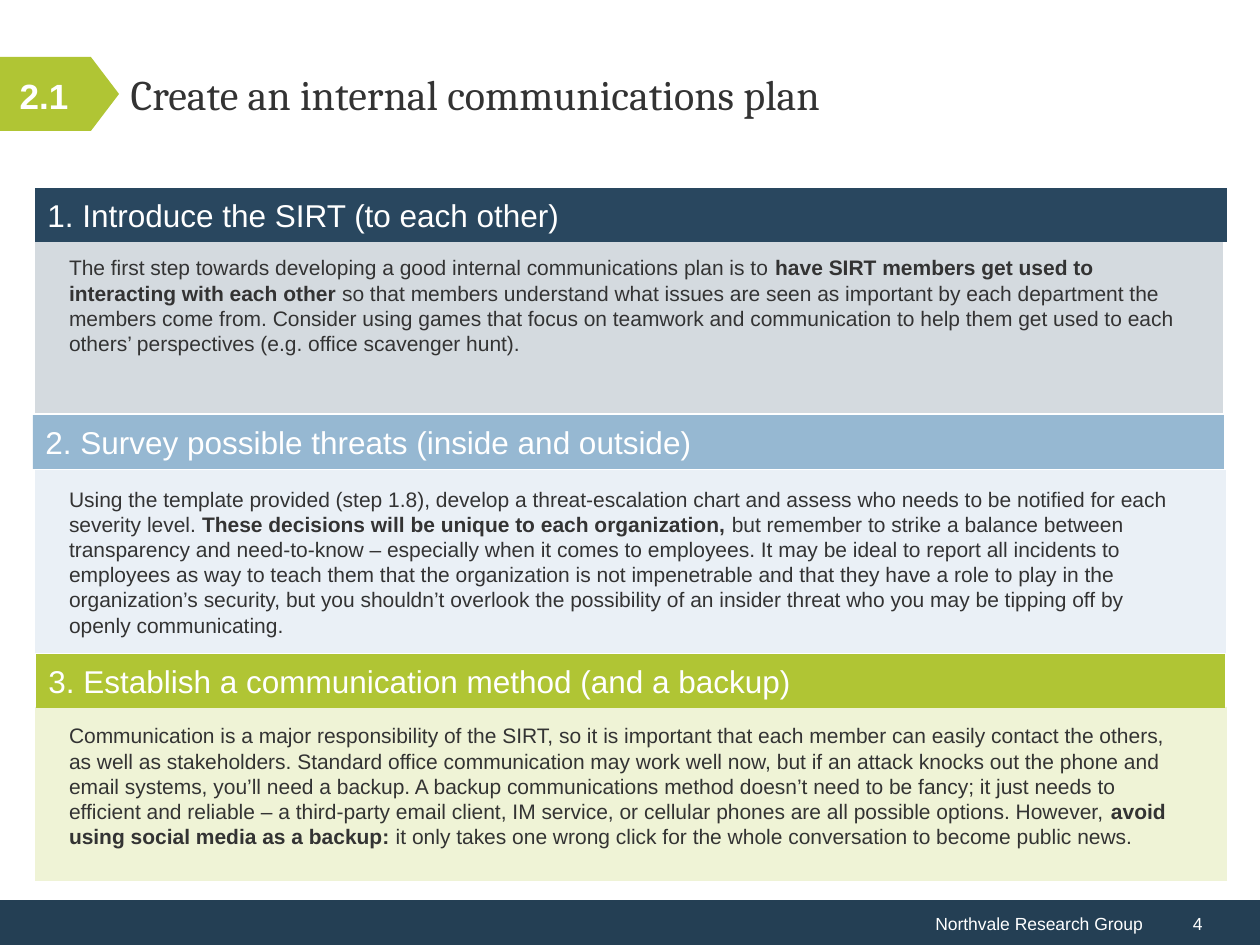
from dataclasses import dataclass

from lxml.etree import SubElement
from pptx import Presentation
from pptx.dml.color import RGBColor
from pptx.enum.shapes import MSO_SHAPE as SHAPE
from pptx.enum.text import MSO_ANCHOR as ANCHOR, MSO_AUTO_SIZE as AUTO_SIZE, PP_ALIGN as ALIGN
from pptx.oxml.ns import qn
from pptx.util import Pt

EMU_PER_PX = 914400 / 126


@dataclass(frozen=True)
class Theme:
    heading_font: str = "Cambria"
    text_font: str = "Arial"
    ink: str = "333333"
    white: str = "FFFFFF"
    footer: str = "243F54"
    navy: str = "29475F"
    blue: str = "96B8D2"
    green: str = "B0C534"
    panel_opacity: int = 20
    title_size: int = 24
    step_size: int = 20
    header_size: int = 18
    body_size: int = 12
    footer_size: int = 10


THEME = Theme()

TITLE = "Create an internal communications plan"
STEP = "2.1"
FOOTER = "Northvale Research Group"
PAGE_NUMBER = "4"

# Boxes are left, top, width, height in px; ** encloses bold words.
SECTIONS = [
    {
        "color": THEME.navy,
        "header": "1. Introduce the SIRT (to each other)",
        "header_box": (35, 188, 1192, 54),
        "panel_box": (35, 239, 1188, 174),
        "body": "The first step towards developing a good internal communications plan is to "
                "**have SIRT members get used to interacting with each other** so that members "
                "understand what issues are seen as important by each department the members come "
                "from. Consider using games that focus on teamwork and communication to help them "
                "get used to each others’ perspectives (e.g. office scavenger hunt).",
    },
    {
        "color": THEME.blue,
        "header": "2. Survey possible threats (inside and outside)",
        "header_box": (33, 415, 1191, 54),
        "panel_box": (35, 470, 1191, 183),
        "body": "Using the template provided (step 1.8), develop a threat-escalation chart and "
                "assess who needs to be notified for each severity level. **These decisions will "
                "be unique to each organization,** but remember to strike a balance between "
                "transparency and need-to-know – especially when it comes to employees. It may be "
                "ideal to report all incidents to employees as way to teach them that the "
                "organization is not impenetrable and that they have a role to play in the "
                "organization’s security, but you shouldn’t overlook the possibility of an insider "
                "threat who you may be tipping off by openly communicating.",
    },
    {
        "color": THEME.green,
        "header": "3. Establish a communication method (and a backup)",
        "header_box": (36, 654, 1189, 54),
        "panel_box": (35, 707, 1192, 174),
        "body": "Communication is a major responsibility of the SIRT, so it is important that each "
                "member can easily contact the others, as well as stakeholders. Standard office "
                "communication may work well now, but if an attack knocks out the phone and email "
                "systems, you’ll need a backup. A backup communications method doesn’t need to be "
                "fancy; it just needs to efficient and reliable – a third-party email client, IM "
                "service, or cellular phones are all possible options. However, **avoid using "
                "social media as a backup:** it only takes one wrong click for the whole "
                "conversation to become public news.",
    },
]


def px(length):
    return round(length * EMU_PER_PX)


def place(shape, box):
    shape.left, shape.top, shape.width, shape.height = map(px, box)


def add_block(page, box, color, kind=SHAPE.RECTANGLE, opacity=100):
    block = page.shapes.add_shape(kind, *map(px, box))
    block.shadow.inherit = False
    block.line.fill.background()
    block.fill.solid()
    block.fill.fore_color.rgb = RGBColor.from_string(color)
    if opacity < 100:
        color_element = block.element.spPr.find(f"{qn('a:solidFill')}/{qn('a:srgbClr')}")
        SubElement(color_element, qn("a:alpha"), val=str(opacity * 1000))
    return block


def write(shape, text, size, color=THEME.white, font=THEME.text_font,
          align=ALIGN.LEFT, anchor=ANCHOR.MIDDLE, bold=False):
    """Fill a shape with one paragraph; parts enclosed in ** become bold."""
    frame = shape.text_frame
    frame.word_wrap = True
    frame.auto_size = AUTO_SIZE.NONE
    frame.vertical_anchor = anchor
    para = frame.paragraphs[0]
    para.alignment = align
    for index, part in enumerate(text.split("**")):
        span = para.add_run()
        span.text = part
        span.font.name = font
        span.font.size = Pt(size)
        span.font.bold = bold or index % 2 == 1
        span.font.color.rgb = RGBColor.from_string(color)
    return para


def add_footer(page):
    band = add_block(page, (0, 900, 1155, 46), THEME.footer)
    write(band, FOOTER, THEME.footer_size, align=ALIGN.RIGHT)
    number = add_block(page, (1155, 900, 105, 46), THEME.footer)
    write(number, PAGE_NUMBER, THEME.footer_size)
    number.text_frame.margin_left = px(38)


def add_heading(page):
    badge = add_block(page, (0, 57, 119, 74), THEME.green, SHAPE.PENTAGON)
    badge.adjustments[0] = 0.38

    title, step = page.shapes.title, page.placeholders[1]
    place(title, (118, 37, 1104, 118))
    para = write(title, TITLE, THEME.title_size, THEME.ink, THEME.heading_font)
    para.line_spacing = Pt(26)

    place(step, (0, 34, 88, 123))
    para = write(step, STEP, THEME.step_size, align=ALIGN.CENTER, bold=True)
    para.space_before = Pt(4)
    properties = para._p.get_or_add_pPr()
    properties.set("marL", "0")
    properties.set("indent", "0")
    SubElement(properties, qn("a:buNone"))

    # The placeholders come first in the page, so lift them above the badge.
    badge.element.addnext(step.element)
    badge.element.addnext(title.element)


def add_section(page, section):
    panel = add_block(page, section["panel_box"], section["color"], opacity=THEME.panel_opacity)
    write(panel, section["body"], THEME.body_size, THEME.ink, anchor=ANCHOR.TOP)
    frame = panel.text_frame
    frame.margin_left = frame.margin_right = px(34)
    frame.margin_top = frame.margin_bottom = px(16)
    header = add_block(page, section["header_box"], section["color"])
    write(header, section["header"], THEME.header_size)


def main():
    deck = Presentation()
    deck.slide_width, deck.slide_height = px(1260), px(945)
    page = deck.slides.add_slide(deck.slide_layouts[1])
    add_footer(page)
    add_heading(page)
    for section in SECTIONS:
        add_section(page, section)
    deck.save("out.pptx")


if __name__ == "__main__":
    main()
